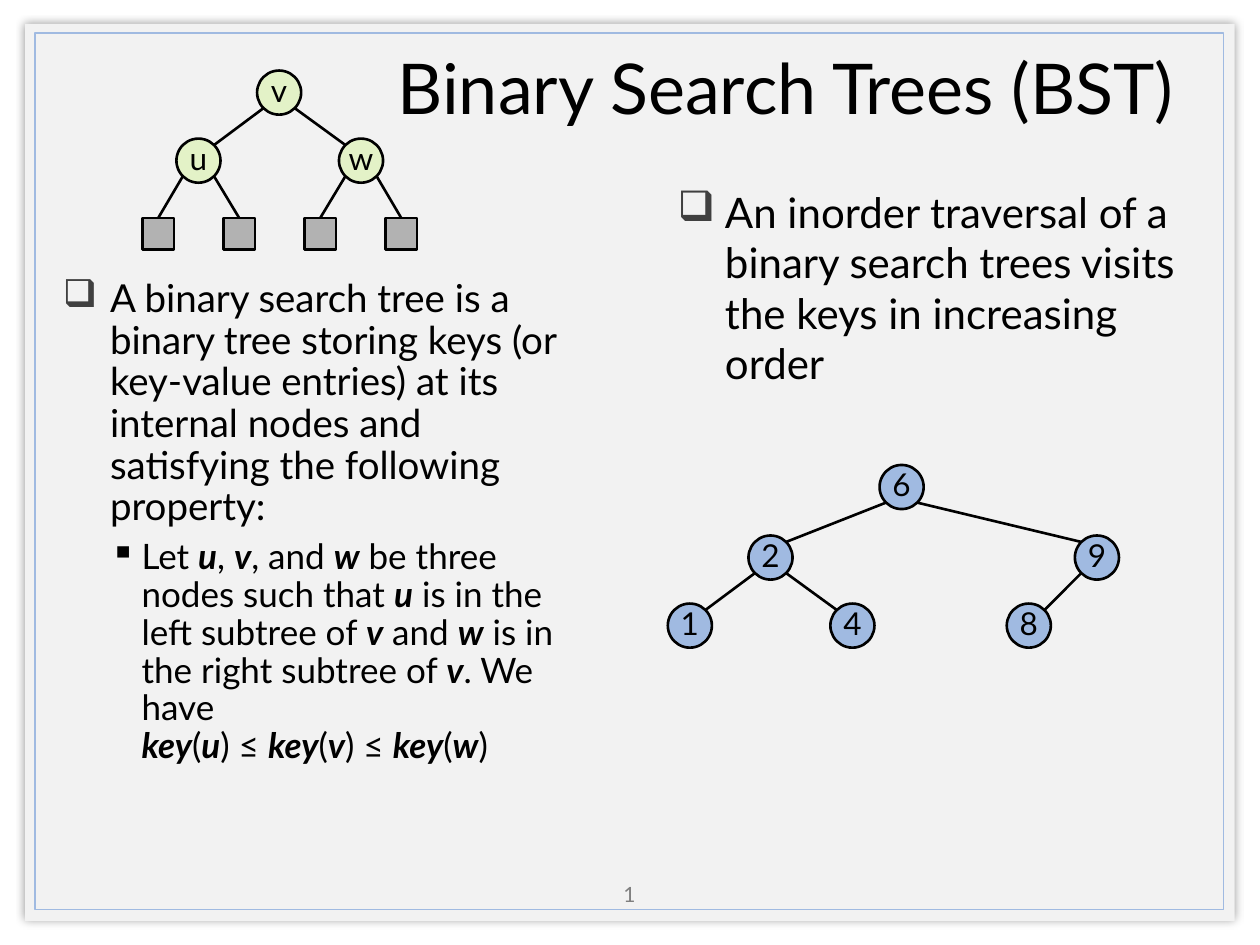
from lxml import etree
from pptx import Presentation
from pptx.dml.color import RGBColor
from pptx.enum.shapes import MSO_CONNECTOR, MSO_SHAPE
from pptx.enum.text import MSO_ANCHOR, PP_ALIGN
from pptx.oxml.ns import qn
from pptx.util import Pt

RECTANGLE, OVAL = MSO_SHAPE.RECTANGLE, MSO_SHAPE.OVAL
STRAIGHT = MSO_CONNECTOR.STRAIGHT
MIDDLE, TOP = MSO_ANCHOR.MIDDLE, MSO_ANCHOR.TOP
CENTER, LEFT = PP_ALIGN.CENTER, PP_ALIGN.LEFT

THEME = {
    "font": "Lato", "text": "000000", "muted": "7F7F7F", "bullet": "404040",
    "panel": "F2F2F2", "frame": "A0BAE1", "key": "A0BAE1", "node": "E3F2C7",
    "leaf": "B2B2B2", "title_size": 40, "number_size": 12, "node_size": 18,
    "left_size": 22, "sub_size": 20, "right_size": 24,
}
NODE_SIZE, LEAF_SIZE, EDGE_WIDTH = 25.2, 18, 1.5
DIAGONAL = NODE_SIZE / 2 * 0.707

TITLE = "Binary Search Trees (BST)"
NUMBER = "1"
DEFINITION = ("A binary search tree is a binary tree storing keys (or key-value entries) "
              "at its internal nodes and satisfying the following property:")
PROPERTY = ("Let *u*, *v*, and *w* be three nodes such that *u* is in the left subtree of *v* "
            "and *w* is in the right subtree of *v*. We have \n"
            "*key*(*u*) ≤ *key*(*v*) ≤ *key*(*w*)")
TRAVERSAL = "An inorder traversal of a binary search trees visits the keys in increasing order"

SQUARE_BULLET = {"char": "❑", "color": THEME["bullet"], "indent": 27, "hang": 27, "before": 20}
SMALL_BULLET = {"char": "▪", "color": THEME["text"], "indent": 45, "hang": 18, "before": 6}

KEY_TREE = {
    "nodes": {"6": (515.2, 278.3), "2": (440.3, 318.6), "9": (626.8, 318.6),
              "1": (394.2, 357.5), "4": (487.1, 357.5), "8": (587.9, 357.5)},
    "edges": [("6", "2"), ("6", "9"), ("2", "1"), ("2", "4"), ("9", "8")],
}
PROPERTY_TREE = {
    "nodes": {"v": (159.5, 52.9), "u": (113.4, 91.8), "w": (206.3, 91.8)},
    "edges": [("v", "u"), ("v", "w")],
}
LEAF_START, LEAF_STEP, LEAF_Y = 90.4, 46.3, 133.6
LEAF_PARENTS = ["u", "u", "w", "w"]


def rgb(value):
    return RGBColor.from_string(value)


def add_shape(slide, kind, box, fill=None, line=None, width=1):
    shape = slide.shapes.add_shape(kind, *map(Pt, box))
    shape.shadow.inherit = False
    if fill:
        shape.fill.solid()
        shape.fill.fore_color.rgb = rgb(fill)
    else:
        shape.fill.background()
    if line:
        shape.line.color.rgb = rgb(line)
        shape.line.width = Pt(width)
    else:
        shape.line.fill.background()
    return shape


def add_run(paragraph, text, size, color, emphasis=False):
    run = paragraph.add_run()
    run.text = text
    font = run.font
    font.name, font.size = THEME["font"], Pt(size)
    font.color.rgb = rgb(color)
    if emphasis:
        font.bold = font.italic = True


def add_marked_text(paragraph, text, size, color):
    for line_index, line in enumerate(text.split("\n")):
        if line_index:
            paragraph.add_line_break()
        for index, part in enumerate(line.split("*")):
            if part:
                add_run(paragraph, part, size, color, index % 2 == 1)


def set_bullet(paragraph, bullet):
    paragraph.space_before = Pt(bullet["before"])
    properties = paragraph._p.get_or_add_pPr()
    properties.set("marL", str(Pt(bullet["indent"])))
    properties.set("indent", str(-Pt(bullet["hang"])))
    color = etree.SubElement(properties, qn("a:buClr"))
    etree.SubElement(color, qn("a:srgbClr"), val=bullet["color"])
    etree.SubElement(properties, qn("a:buChar"), char=bullet["char"])


def add_text(slide, box, items, color=THEME["text"], align=LEFT, anchor=TOP, spacing=None):
    frame = slide.shapes.add_textbox(*map(Pt, box)).text_frame
    frame.word_wrap = True
    frame.vertical_anchor = anchor
    for index, (text, size, bullet) in enumerate(items):
        paragraph = frame.add_paragraph() if index else frame.paragraphs[0]
        paragraph.alignment = align
        if spacing:
            paragraph.line_spacing = spacing
        if bullet:
            paragraph.level = int(bullet is SMALL_BULLET)
            set_bullet(paragraph, bullet)
        add_marked_text(paragraph, text, size, color)


def add_edge(slide, start, end):
    edge = slide.shapes.add_connector(STRAIGHT, *map(Pt, start + end))
    edge.line.color.rgb = rgb(THEME["text"])
    edge.line.width = Pt(EDGE_WIDTH)
    etree.SubElement(edge._element.spPr, qn("a:effectLst"))
    return edge


def rim_point(center, side, vertical):
    return center[0] + side * DIAGONAL, center[1] + vertical * DIAGONAL


def centered_box(center, size):
    return center[0] - size / 2, center[1] - size / 2, size, size


def add_tree(slide, tree, fill):
    nodes = tree["nodes"]
    for parent, child in tree["edges"]:
        side = 1 if nodes[child][0] > nodes[parent][0] else -1
        add_edge(slide, rim_point(nodes[parent], side, 1), rim_point(nodes[child], -side, -1))
    for label, center in nodes.items():
        node = add_shape(slide, OVAL, centered_box(center, NODE_SIZE), fill,
                         THEME["text"], EDGE_WIDTH)
        frame = node.text_frame
        frame.word_wrap = False
        frame.vertical_anchor = MIDDLE
        frame.margin_left = frame.margin_right = frame.margin_top = 0
        frame.margin_bottom = Pt(3.6)
        frame.paragraphs[0].alignment = CENTER
        add_run(frame.paragraphs[0], label, THEME["node_size"], THEME["text"])


def add_leaves(slide):
    for index, parent in enumerate(LEAF_PARENTS):
        center = LEAF_START + index * LEAF_STEP, LEAF_Y
        leaf = add_shape(slide, RECTANGLE, centered_box(center, LEAF_SIZE), THEME["leaf"],
                         THEME["text"], EDGE_WIDTH)
        parent_center = PROPERTY_TREE["nodes"][parent]
        side = 1 if center[0] > parent_center[0] else -1
        top = center[0], LEAF_Y - LEAF_SIZE / 2
        add_edge(slide, rim_point(parent_center, side, 1), top).end_connect(leaf, 0)


def add_background(slide):
    panel = add_shape(slide, RECTANGLE, (14.4, 13.7, 691.2, 512.6), THEME["panel"])
    effects = panel._element.spPr.find(qn("a:effectLst"))
    shadow = etree.SubElement(effects, qn("a:outerShdw"), blurRad=str(Pt(5)), dist="0", dir="0")
    color = etree.SubElement(shadow, qn("a:srgbClr"), val=THEME["text"])
    etree.SubElement(color, qn("a:alpha"), val="40000")
    add_shape(slide, RECTANGLE, (20.2, 18.7, 679, 501.1), line=THEME["frame"])


def main():
    presentation = Presentation()
    presentation.slide_width, presentation.slide_height = Pt(720), Pt(540)
    slide = presentation.slides.add_slide(presentation.slide_layouts[6])
    add_background(slide)
    add_text(slide, (329.8, 500.4, 59.8, 21.6), [(NUMBER, THEME["number_size"], None)],
             THEME["muted"], CENTER, MIDDLE)
    add_text(slide, (200.9, 21.6, 496.1, 55.4), [(TITLE, THEME["title_size"], None)],
             align=CENTER, anchor=MIDDLE)
    add_text(slide, (28.8, 156.2, 300.2, 387.4),
             [(DEFINITION, THEME["left_size"], SQUARE_BULLET),
              (PROPERTY, THEME["sub_size"], SMALL_BULLET)], spacing=0.9)
    add_text(slide, (380.2, 103, 300.2, 126),
             [(TRAVERSAL, THEME["right_size"], SQUARE_BULLET)])
    add_tree(slide, KEY_TREE, THEME["key"])
    add_tree(slide, PROPERTY_TREE, THEME["node"])
    add_leaves(slide)
    presentation.save("out.pptx")


if __name__ == "__main__":
    main()
